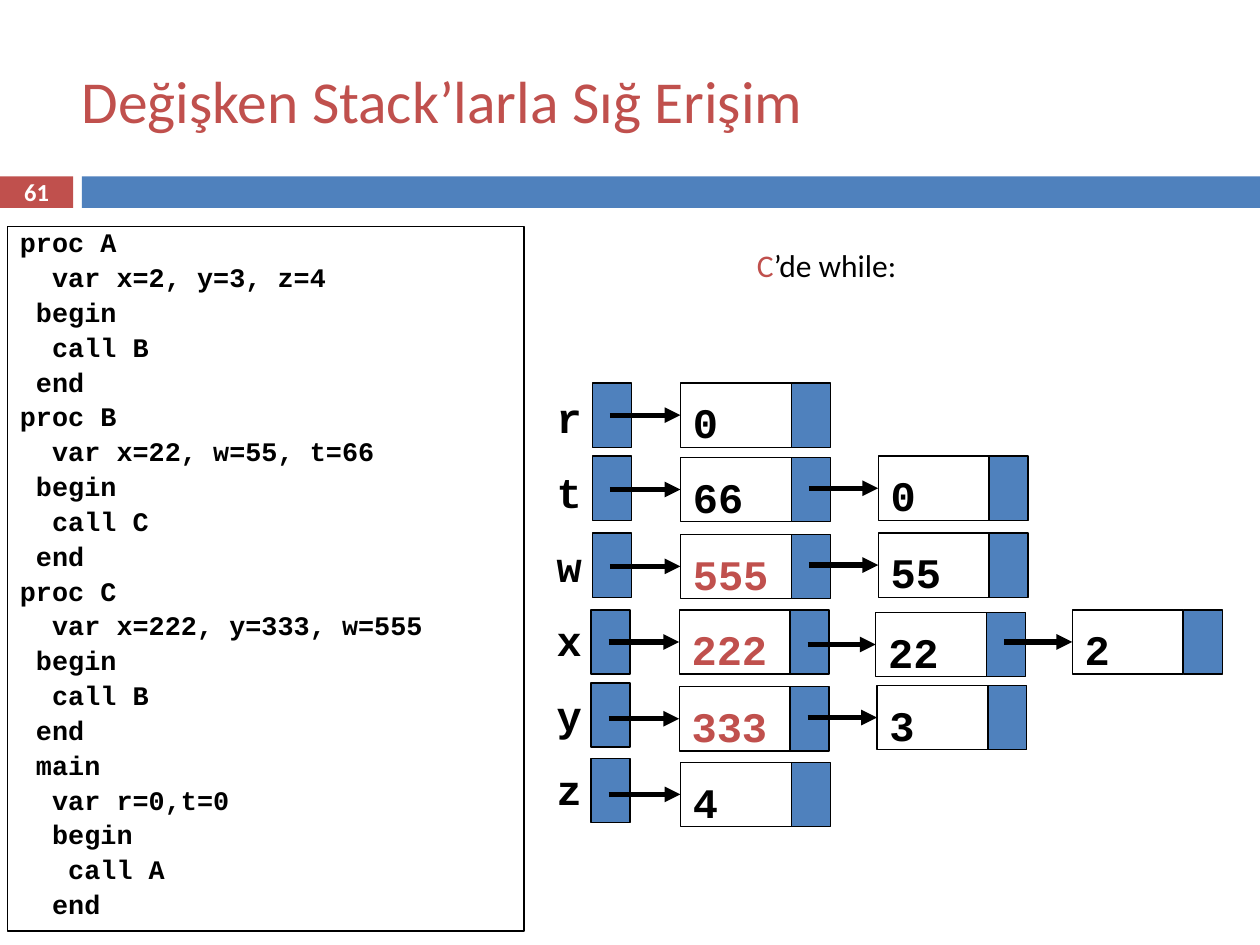
from lxml.etree import SubElement
from pptx import Presentation
from pptx.dml.color import RGBColor
from pptx.enum.shapes import MSO_CONNECTOR as Conn, MSO_SHAPE as Form
from pptx.enum.text import MSO_ANCHOR as Anchor, PP_ALIGN as Align
from pptx.oxml.ns import qn
from pptx.util import Inches, Pt

RED = RGBColor(0xC0, 0x50, 0x4D)
BLUE = RGBColor(0x4F, 0x81, 0xBD)
BLACK = RGBColor(0, 0, 0)
WHITE = RGBColor(0xFF, 0xFF, 0xFF)

# Grid of 100 columns by 75 rows
COLS, ROWS = 100, 75
CELL_W, SLOT_W, BOX_H = 8.8, 3.1, 5.1
TAIL = 1.4  # from a slot's left edge to the start of its arrow

CODE = """proc A
  var x=2, y=3, z=4
 begin
  call B
 end
proc B
  var x=22, w=55, t=66
 begin
  call C
 end
proc C
  var x=222, y=333, w=555
 begin
  call B
 end
 main
  var r=0,t=0
  begin
   call A
  end"""

# Variable, left of slot, top of slot, left of first cell, cell step, cells (value, top)
STACKS = [
    ("r", 47, 30.4, 54, 15.7, [("0", 30.4)]),
    ("t", 47, 36.2, 54, 15.7, [("66", 36.3), ("0", 36.2)]),
    ("w", 47, 42.3, 54, 15.7, [("555", 42.4), ("55", 42.3)]),
    ("x", 46.9, 48.4, 53.9, 15.6, [("222", 48.4), ("22", 48.6), ("2", 48.4)]),
    ("y", 46.9, 54.2, 53.9, 15.7, [("333", 54.5), ("3", 54.4)]),
    ("z", 46.9, 60.2, 54, 15.7, [("4", 60.5)]),
]
FRESH = {"222", "333", "555"}  # values set by proc C


def write(frame, lines, font="Courier New", size=24, color=BLACK, bold=True,
          align=Align.LEFT, anchor=Anchor.TOP, gap=0, pitch=None, top=0.11):
    """Fill a frame; a line is a string or a list of (text, colour) runs."""
    frame.word_wrap = True
    frame.vertical_anchor = anchor
    frame.margin_left = frame.margin_right = Inches(0.1)
    frame.margin_top, frame.margin_bottom = Inches(top), 0
    for i, line in enumerate(lines):
        para = frame.add_paragraph() if i else frame.paragraphs[0]
        para.alignment = align
        para.space_before = Pt(gap if i else 0)
        if pitch:
            para.line_spacing = Pt(pitch)
        for text, tint in [(line, color)] if isinstance(line, str) else line:
            run = para.add_run()
            run.text = text
            run.font.name, run.font.size, run.font.bold = font, Pt(size), bold
            run.font.color.rgb = tint


class Deck:
    def __init__(self):
        self.prs = Presentation()
        self.prs.slide_width, self.prs.slide_height = Inches(10), Inches(7.5)
        self.slide = self.prs.slides.add_slide(self.prs.slide_layouts[5])
        self.shapes = self.slide.shapes

    def grid(self, x, y):
        return (round(self.prs.slide_width * x / COLS),
                round(self.prs.slide_height * y / ROWS))

    def title(self, text, x, y, w, h):
        head = self.shapes.title
        head.left, head.top = self.grid(x, y)
        head.width, head.height = self.grid(w, h)
        write(head.text_frame, [text], font="Calibri", size=34, color=RED,
              bold=False, anchor=Anchor.MIDDLE, top=0)

    def box(self, x, y, w, h, fill=None, line=BLACK):
        rect = self.shapes.add_shape(Form.RECTANGLE, *self.grid(x, y), *self.grid(w, h))
        rect.shadow.inherit = False
        if fill is None:
            rect.fill.background()
        else:
            rect.fill.solid()
            rect.fill.fore_color.rgb = fill
        if line is None:
            rect.line.fill.background()
        else:
            rect.line.color.rgb = line
            rect.line.width = Pt(0.75)
        return rect

    def label(self, lines, x, y, w, h, **fmt):
        note = self.shapes.add_textbox(*self.grid(x, y), *self.grid(w, h))
        write(note.text_frame, lines, **fmt)

    def arrow(self, x, cell):
        start = self.grid(x, 0)[0]
        mid = cell.top + cell.height // 2
        link = self.shapes.add_connector(Conn.STRAIGHT, start, mid, cell.left, mid)
        link.end_connect(cell, 1)
        link.line.color.rgb = BLACK
        link.line.width = Pt(3)
        SubElement(link.line._get_or_add_ln(), qn("a:tailEnd"), type="triangle")
        SubElement(link._element.spPr, qn("a:effectLst"))

    def stack(self, slot, top, left, step, cells):
        self.box(slot, top, SLOT_W, BOX_H, BLUE)
        for i, (value, y) in enumerate(cells):
            x = left + i * step
            cell = self.box(x, y, CELL_W, BOX_H)
            write(cell.text_frame, [value], color=RED if value in FRESH else BLACK)
            self.arrow(slot + TAIL, cell)
            slot = x + CELL_W
            self.box(slot, y, SLOT_W, BOX_H, BLUE)


def main():
    deck = Deck()

    # Title and band with the page number
    deck.title("Değişken Stack’larla Sığ Erişim", 5.5, 3.9, 87.5, 8.1)
    page = deck.box(0, 14, 5.8, 2.5, RED, None)
    write(page.text_frame, ["61"], font="Calibri", size=14, color=WHITE,
          align=Align.CENTER, anchor=Anchor.MIDDLE, top=0)
    deck.box(6.5, 14, 93.5, 2.5, BLUE, None)

    # Program
    code = deck.box(0.6, 18, 41, 55.9)
    write(code.text_frame, CODE.split("\n"), size=15.3, gap=7, pitch=12.9, top=0.07)

    # Variable stacks
    deck.label([[("C", RED), ("’de while:", BLACK)]], 59.1, 18.9, 34.7, 4,
               font="Calibri", size=18, bold=False, top=0.06)
    deck.label([row[0] for row in STACKS], 43.2, 30, 7.7, 34.9, gap=13.7)
    for _, *row in STACKS:
        deck.stack(*row)

    deck.prs.save("out.pptx")


if __name__ == "__main__":
    main()
